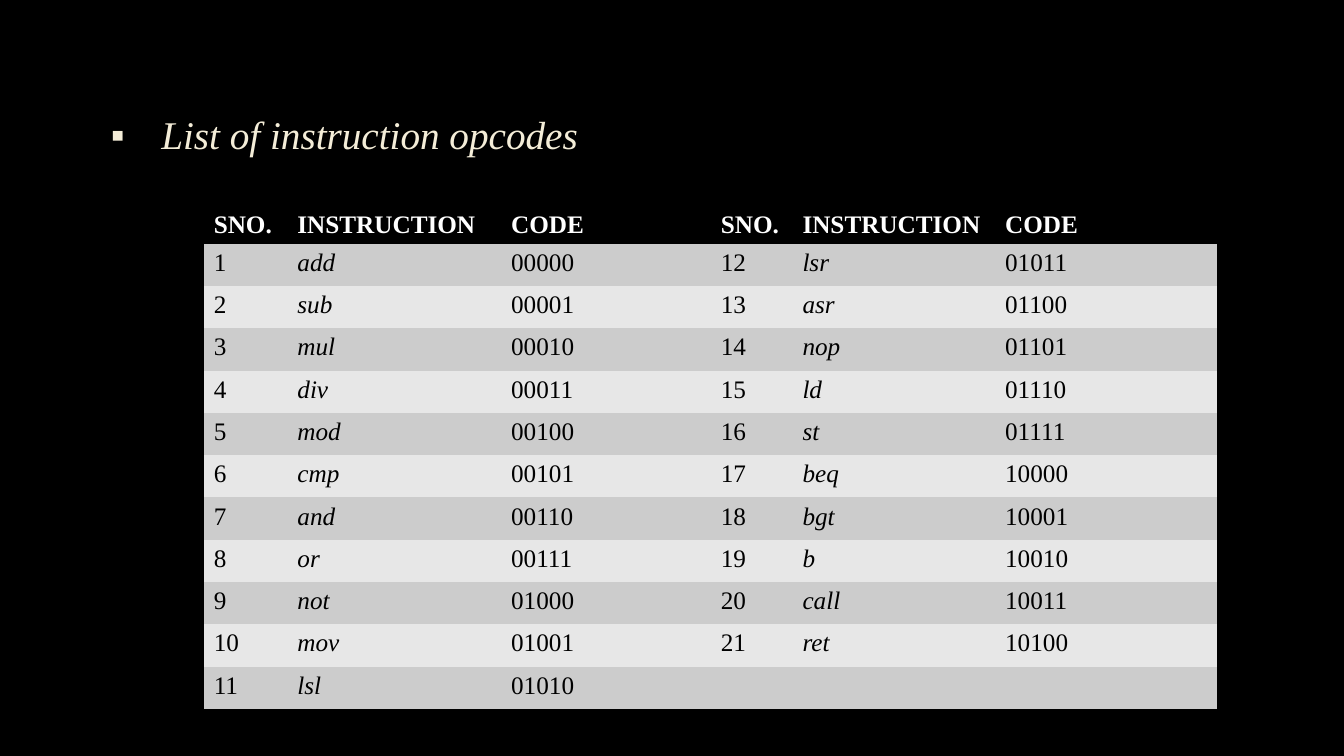
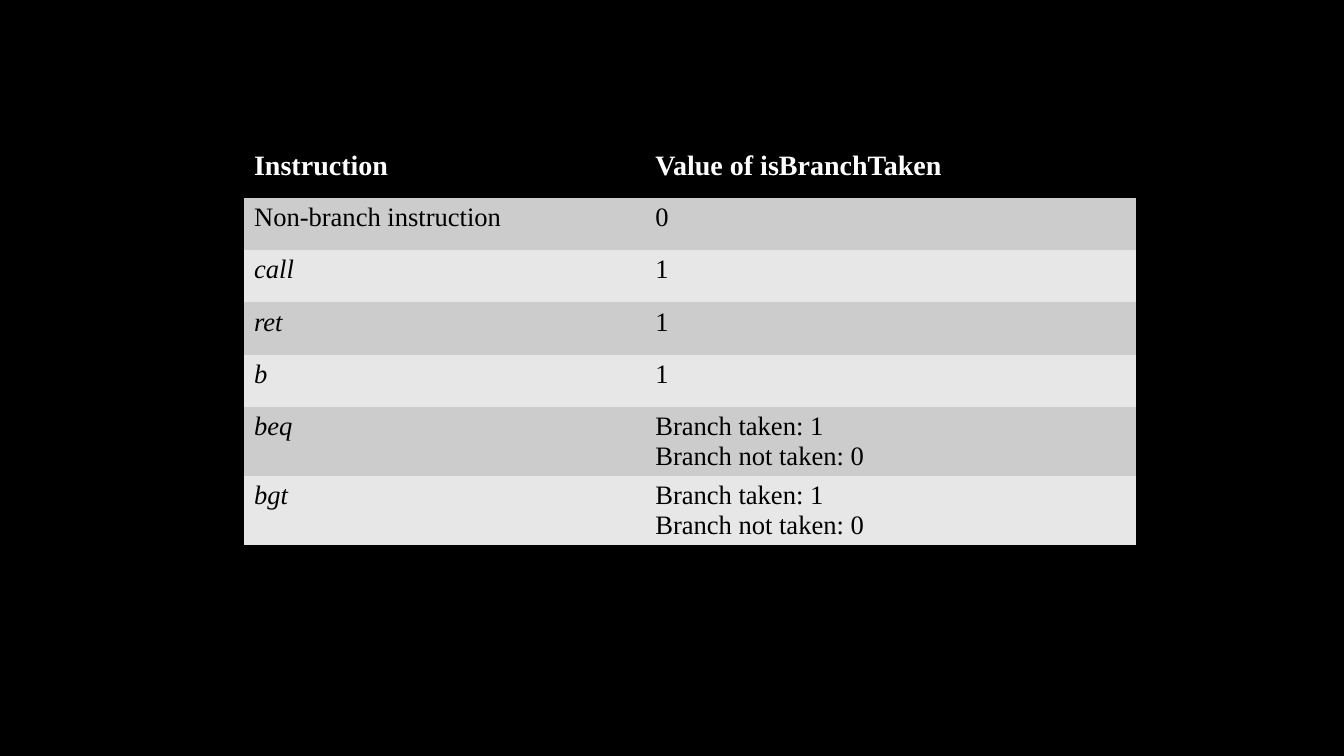
from dataclasses import dataclass
from itertools import zip_longest

from lxml import etree
from pptx import Presentation
from pptx.dml.color import RGBColor
from pptx.enum.text import MSO_ANCHOR, PP_ALIGN
from pptx.oxml.ns import qn
from pptx.util import Inches, Pt


@dataclass(frozen=True)
class Theme:
    font: str = "Times New Roman"
    background: str = "000000"
    title: str = "F4EDD8"
    header_text: str = "FFFFFF"
    body_text: str = "000000"
    bands: tuple = ("CCCCCC", "E7E7E7")
    title_size: int = 28
    plain_table: str = "{2D5ABB26-0587-4C30-8999-92F81FD0307C}"


THEME = Theme()
TITLE_ONLY, BLANK = 5, 6

MNEMONICS = ("add sub mul div mod cmp and or not mov lsl "
             "lsr asr nop ld st beq bgt b call ret").split()
ROWS_PER_HALF = 11

BRANCH_OUTCOMES = "Branch taken: 1\nBranch not taken: 0"
BRANCH_ROWS = [
    ("Instruction", "Value of isBranchTaken"),
    ("Non-branch instruction", "0"),
    ("call", "1"),
    ("ret", "1"),
    ("b", "1"),
    ("beq", BRANCH_OUTCOMES),
    ("bgt", BRANCH_OUTCOMES),
]


def style_font(paragraph, size, color, bold=False, italic=False):
    font = paragraph.font
    font.name, font.size = THEME.font, Pt(size)
    font.bold, font.italic = bold, italic
    font.color.rgb = RGBColor.from_string(color)


def fill_solid(fill, color):
    fill.solid()
    fill.fore_color.rgb = RGBColor.from_string(color)


def set_bullet(paragraph, character, indent):
    properties = paragraph._p.get_or_add_pPr()
    properties.set("marL", str(indent))
    properties.set("indent", str(-indent))
    etree.SubElement(properties, qn("a:buFont"), typeface="Arial")
    etree.SubElement(properties, qn("a:buChar"), char=character)


def set_title(slide, text):
    title = slide.shapes.title
    title.left, title.top = Inches(1), Inches(0.67)
    title.width, title.height = Inches(11.32), Inches(1.38)
    title.text_frame.text = text
    title.text_frame.vertical_anchor = MSO_ANCHOR.MIDDLE
    paragraph = title.text_frame.paragraphs[0]
    paragraph.alignment = PP_ALIGN.LEFT
    paragraph.line_spacing = 0.9
    set_bullet(paragraph, "▪", Inches(0.5))
    style_font(paragraph, THEME.title_size, THEME.title, italic=True)


def add_banded_table(slide, rows, left, top, widths, header_height, row_height,
                     header_size, body_size):
    """Black header row, grey bands below; instruction mnemonics in italics."""
    heights = [header_height] + [row_height] * (len(rows) - 1)
    frame = slide.shapes.add_table(len(rows), len(widths), Inches(left), Inches(top),
                                   Inches(sum(widths)), Inches(sum(heights)))
    table = frame.table
    table._tbl.tblPr.find(qn("a:tableStyleId")).text = THEME.plain_table
    for column, width in zip(table.columns, widths):
        column.width = Inches(width)
    for index, (row, height, texts) in enumerate(zip(table.rows, heights, rows)):
        row.height = Inches(height)
        is_header = index == 0
        band = THEME.background if is_header else THEME.bands[(index - 1) % 2]
        for cell, text in zip(row.cells, texts):
            fill_solid(cell.fill, band)
            cell.text = text
            for paragraph in cell.text_frame.paragraphs:
                if is_header:
                    style_font(paragraph, header_size, THEME.header_text, bold=True)
                else:
                    style_font(paragraph, body_size, THEME.body_text,
                               italic=text in MNEMONICS)


def opcode_rows():
    """Number the mnemonics in two halves; each code is its index in binary."""
    entries = [(str(index + 1), name, format(index, "05b"))
               for index, name in enumerate(MNEMONICS)]
    halves = zip_longest(entries[:ROWS_PER_HALF], entries[ROWS_PER_HALF:],
                         fillvalue=("", "", ""))
    header = ("SNO.", "INSTRUCTION", "CODE") * 2
    return [header] + [first + second for first, second in halves]


def add_opcode_slide(presentation):
    slide = presentation.slides.add_slide(presentation.slide_layouts[TITLE_ONLY])
    set_title(slide, "List of instruction opcodes")
    add_banded_table(slide, opcode_rows(), left=2.02, top=2.04,
                     widths=[0.83, 2.12, 2.08, 0.81, 2.01, 2.2],
                     header_height=0.36, row_height=0.42,
                     header_size=18, body_size=18)


def add_branch_slide(presentation):
    slide = presentation.slides.add_slide(presentation.slide_layouts[BLANK])
    add_banded_table(slide, BRANCH_ROWS, left=2.42, top=1.44, widths=[3.98, 4.87],
                     header_height=0.52, row_height=0.52,
                     header_size=20, body_size=19)


def main():
    presentation = Presentation()
    presentation.slide_width, presentation.slide_height = Inches(13.33), Inches(7.5)
    fill_solid(presentation.slide_master.background.fill, THEME.background)
    add_opcode_slide(presentation)
    add_branch_slide(presentation)
    presentation.save("out.pptx")


if __name__ == "__main__":
    main()
